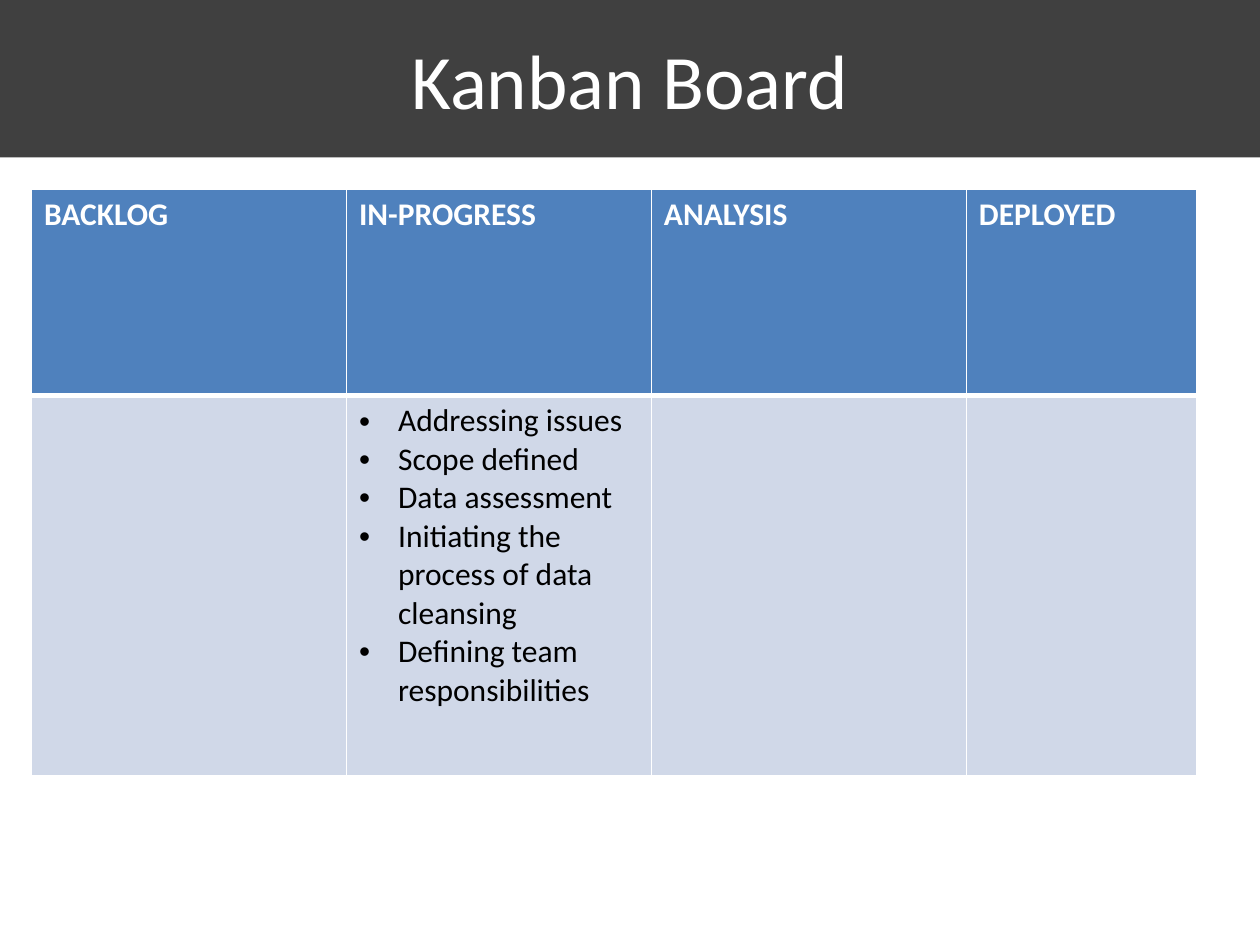
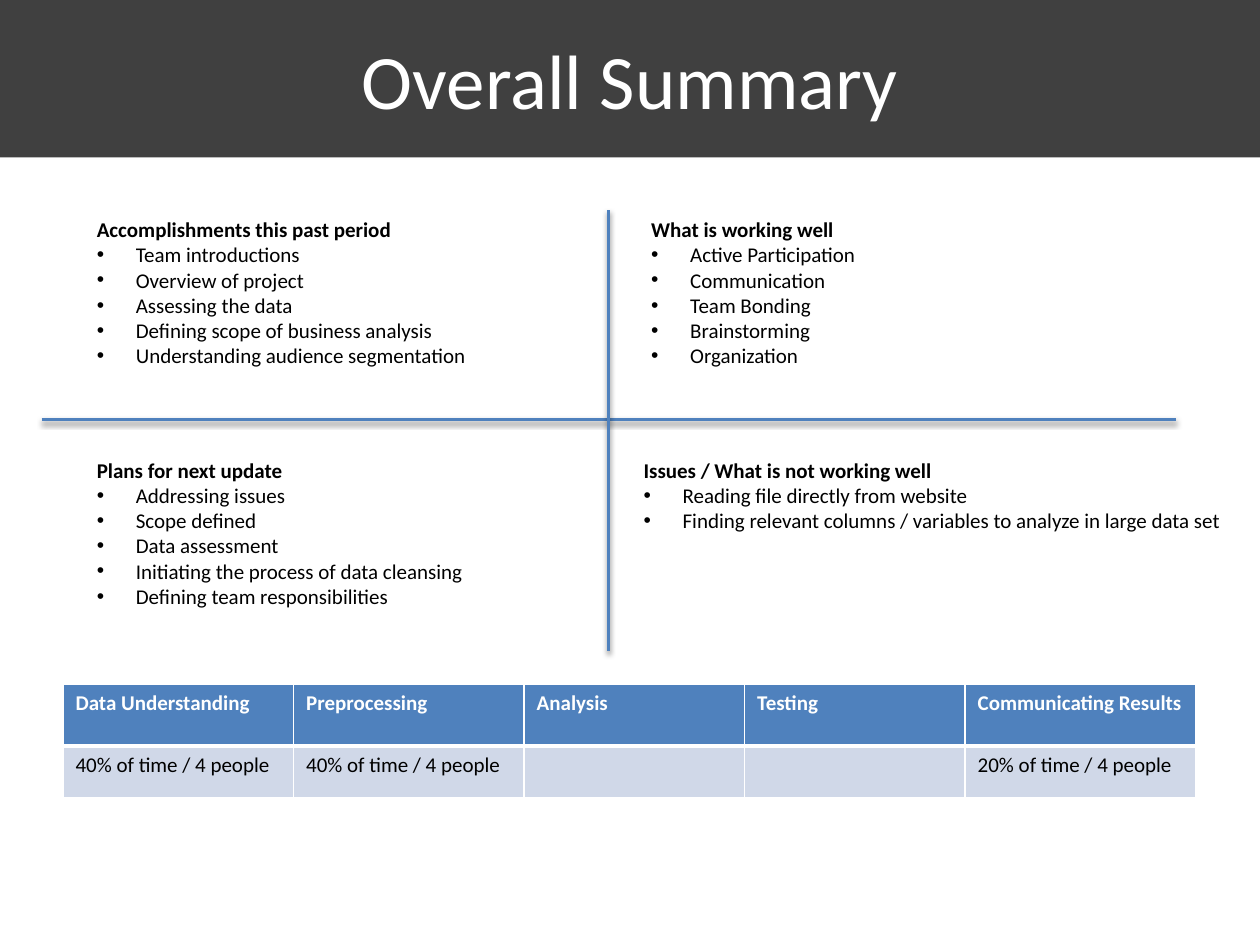
from lxml import etree
from pptx import Presentation
from pptx.dml.color import RGBColor
from pptx.enum import shapes, text
from pptx.oxml import parse_xml
from pptx.oxml.ns import nsdecls, qn
from pptx.util import Inches, Pt


def rgb(value):
    return RGBColor.from_string(value)


class Deck:
    FONT = "Calibri"
    BAND, ACCENT, PALE = "404040", "4F81BD", "D0D8E8"
    WHITE, BLACK = "FFFFFF", "000000"

    def __init__(self):
        self.prs = Presentation()
        self.prs.slide_width, self.prs.slide_height = Inches(10), Inches(7.5)
        self.s = None

    def slide(self, title):
        self.s = self.prs.slides.add_slide(self.prs.slide_layouts[6])
        sp = self.s.shapes.add_shape(shapes.MSO_SHAPE.RECTANGLE, 0, 0, Inches(10), Inches(1.25))
        sp.shadow.inherit = False
        sp.fill.solid()
        sp.fill.fore_color.rgb = rgb(self.BAND)
        sp.line.fill.background()
        tf = sp.text_frame
        tf.vertical_anchor = text.MSO_ANCHOR.MIDDLE
        p = tf.paragraphs[0]
        p.alignment = text.PP_ALIGN.CENTER
        self.label(p, title, 44, self.WHITE)

    def label(self, p, words, size, color, bold=False):
        p.text = words
        for r in p.runs:
            r.font.name, r.font.size, r.font.bold = self.FONT, Pt(size), bold
            r.font.color.rgb = rgb(color)

    def bullet(self, p):
        pPr = p._p.get_or_add_pPr()
        pPr.set("marL", str(Inches(0.31)))
        pPr.set("indent", str(-Inches(0.31)))
        etree.SubElement(pPr, qn("a:buFont")).set("typeface", "Arial")
        etree.SubElement(pPr, qn("a:buChar")).set("char", "•")

    def bullets(self, tf, items, size, heading=None):
        lines = ([heading] if heading else []) + items
        for i, words in enumerate(lines):
            p = tf.add_paragraph() if i else tf.paragraphs[0]
            is_heading = words == heading
            if not is_heading:
                self.bullet(p)
            self.label(p, words, size, self.BLACK, is_heading)

    def quadrant(self, left, top, width, height, heading, items):
        sp = self.s.shapes.add_textbox(Inches(left), Inches(top), Inches(width), Inches(height))
        sp.text_frame.word_wrap = True
        self.bullets(sp.text_frame, items, 12, heading)

    def borders(self, cell, top, bottom):
        tcPr = cell._tc.get_or_add_tcPr()
        for side, width in (("L", 1), ("R", 1), ("T", top), ("B", bottom)):
            tcPr.append(parse_xml(
                f'<a:ln{side} {nsdecls("a")} w="{Pt(width)}"><a:solidFill>'
                f'<a:srgbClr val="{self.WHITE}"/></a:solidFill></a:ln{side}>'))

    def table(self, left, top, widths, heights, header, body, size):
        frame = self.s.shapes.add_table(2, len(widths), Inches(left), Inches(top),
                                        Inches(sum(widths)), Inches(sum(heights)))
        table = frame.table
        for column, width in zip(table.columns, widths):
            column.width = Inches(width)
        for row, height in zip(table.rows, heights):
            row.height = Inches(height)
        for i, (name, content) in enumerate(zip(header, body)):
            head, cell = table.cell(0, i), table.cell(1, i)
            self.borders(head, 1, 3)
            self.borders(cell, 3, 1)
            for target, color in ((head, self.ACCENT), (cell, self.PALE)):
                target.fill.solid()
                target.fill.fore_color.rgb = rgb(color)
            self.label(head.text_frame.paragraphs[0], name, size, self.WHITE, True)
            if isinstance(content, list):
                self.bullets(cell.text_frame, content, size)
            elif content:
                self.label(cell.text_frame.paragraphs[0], content, size, self.BLACK)

    def divider(self, x1, y1, x2, y2):
        line = self.s.shapes.add_connector(shapes.MSO_CONNECTOR.STRAIGHT, Inches(x1), Inches(y1),
                                           Inches(x2), Inches(y2))
        line.line.color.rgb = rgb(self.ACCENT)
        line.line.width = Pt(2)
        line._element.spPr.append(parse_xml(
            f'<a:effectLst {nsdecls("a")}><a:outerShdw blurRad="{Pt(3.1)}" dist="{Pt(1.6)}" '
            f'dir="5400000" rotWithShape="0"><a:srgbClr val="{self.BLACK}">'
            '<a:alpha val="38000"/></a:srgbClr></a:outerShdw></a:effectLst>'))


def main():
    deck = Deck()
    next_steps = ["Addressing issues", "Scope defined", "Data assessment",
                  "Initiating the process of data cleansing", "Defining team responsibilities"]

    deck.slide("Kanban Board")
    deck.table(0.25, 1.5, [2.5, 2.42, 2.5, 1.83], [1.64, 3.02],
               ["BACKLOG", "IN-PROGRESS", "ANALYSIS", "DEPLOYED"],
               [None, next_steps, None, None], 18)

    deck.slide("Overall Summary")
    deck.table(0.5, 5.43, [1.83, 1.83, 1.75, 1.75, 1.83], [0.49, 0.41],
               ["Data Understanding", "Preprocessing", "Analysis", "Testing",
                "Communicating Results"],
               ["40% of time / 4 people", "40% of time / 4 people", None, None,
                "20% of time / 4 people"], 12)
    deck.quadrant(5.07, 1.67, 1.84, 1.31, "What is working well",
                  ["Active Participation", "Communication", "Team Bonding",
                   "Brainstorming", "Organization"])
    deck.quadrant(0.67, 1.67, 3.16, 1.31, "Accomplishments this past period",
                  ["Team introductions", "Overview of project", "Assessing the data",
                   "Defining scope of business analysis",
                   "Understanding audience segmentation"])
    deck.quadrant(0.67, 3.58, 3.14, 1.51, "Plans for next update", next_steps)
    deck.quadrant(5.01, 3.58, 4.83, 0.91, "Issues / What is not working well",
                  ["Reading file directly from website",
                   "Finding relevant columns / variables to analyze in large data set"])
    deck.divider(0.33, 3.33, 9.33, 3.33)
    deck.divider(4.83, 1.67, 4.83, 5.17)

    deck.prs.save("out.pptx")


if __name__ == "__main__":
    main()
